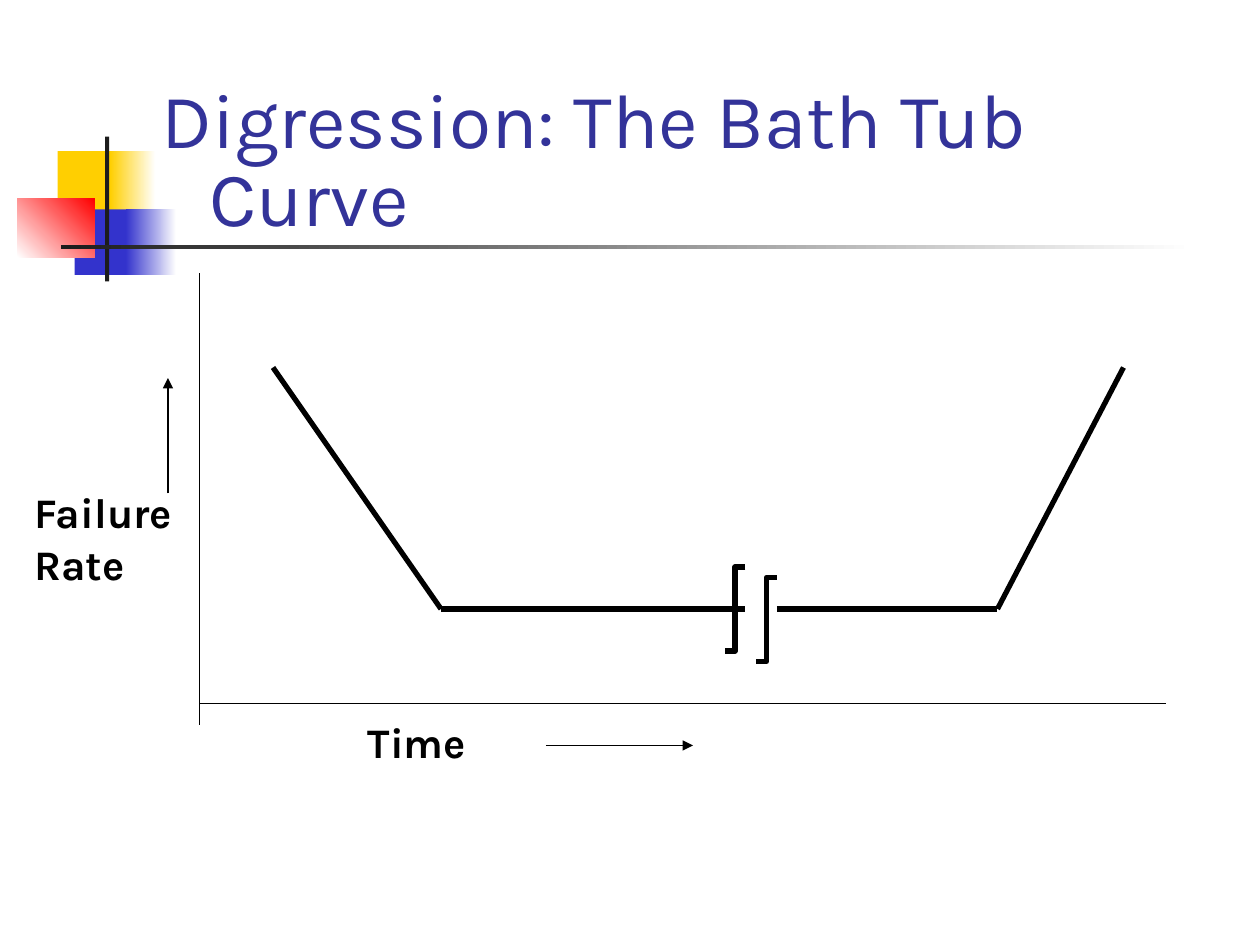
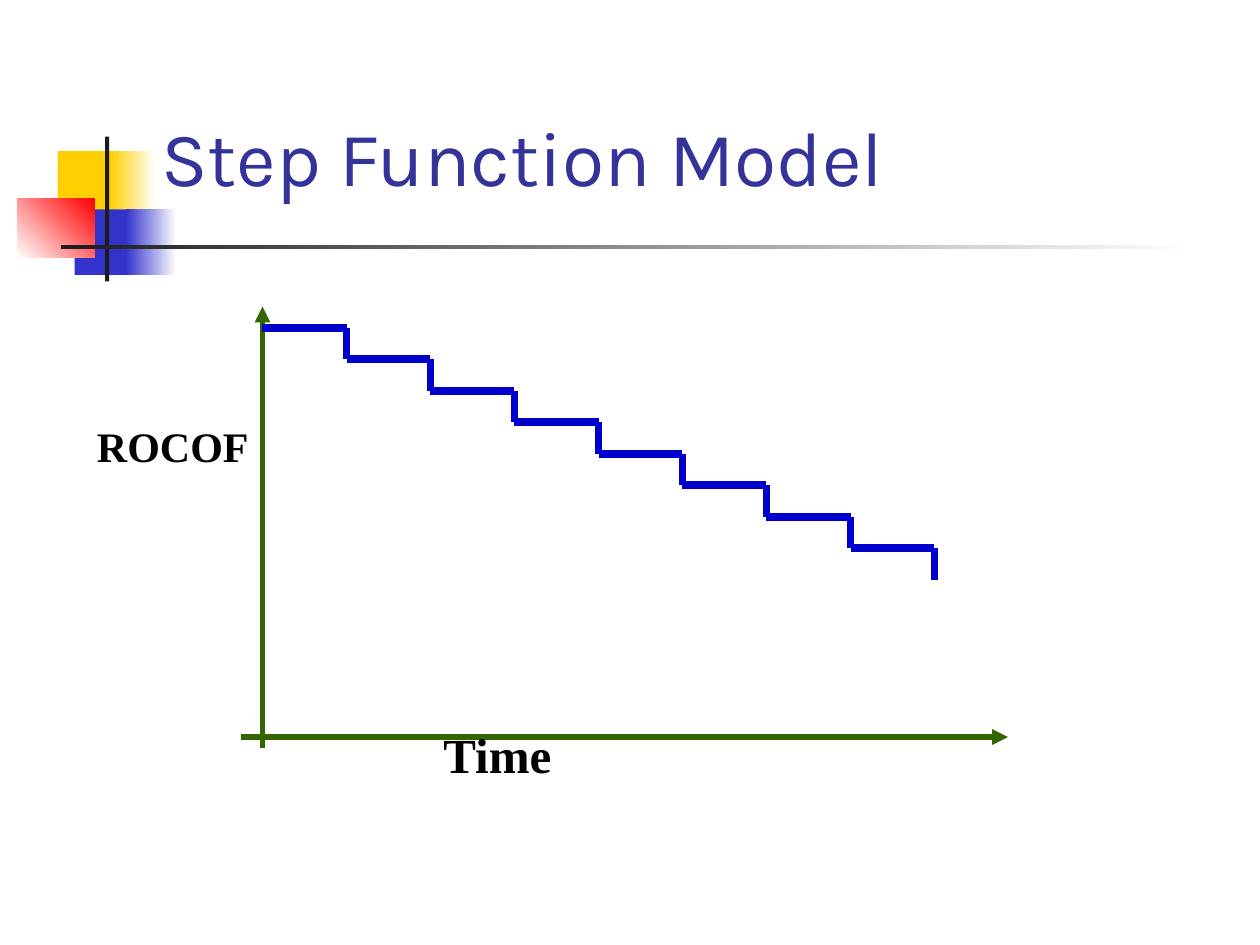
from itertools import pairwise

from lxml.etree import SubElement
from pptx import Presentation
from pptx.dml.color import RGBColor
from pptx.enum.shapes import MSO_CONNECTOR as Conn, MSO_SHAPE as Form
from pptx.enum.text import MSO_ANCHOR as Anchor
from pptx.oxml.ns import qn
from pptx.util import Inches, Pt

WHITE = RGBColor(0xFF, 0xFF, 0xFF)
BLACK = RGBColor(0x00, 0x00, 0x00)
INK = RGBColor(0x1C, 0x1C, 0x1C)
GOLD = RGBColor(0xFF, 0xCF, 0x01)
BLUE = RGBColor(0x33, 0x33, 0xCC)
RED = RGBColor(0xFF, 0x00, 0x00)
NAVY = RGBColor(0x33, 0x33, 0x99)
GREEN = RGBColor(0x33, 0x66, 0x00)
STEP = RGBColor(0x00, 0x00, 0xCC)
SANS, SERIF = "Karla", "Times New Roman"

deck = Presentation()
deck.slide_width, deck.slide_height = Inches(10), Inches(7.5)
CELL = deck.slide_width / 120  # square grid, 120 columns by 90 rows


def link(slide, start, end, color, width, arrow=None, kind=Conn.STRAIGHT):
    """Join two grid points; arrow is None, "headEnd" or "tailEnd"."""
    ends = [round(n * CELL) for n in (*start, *end)]
    line = slide.shapes.add_connector(kind, *ends)
    line.line.color.rgb = color
    line.line.width = Pt(width)
    if arrow:
        SubElement(line.line._get_or_add_ln(), qn("a:" + arrow), type="triangle")
    SubElement(line._element.spPr, qn("a:effectLst"))


def write(slide, box, lines, font, size, color, gap, bold=True):
    """Put one paragraph per line in a box given in grid cells."""
    frame = slide.shapes.add_textbox(*[round(n * CELL) for n in box]).text_frame
    frame.word_wrap = True
    frame.margin_left = frame.margin_right = Inches(0.02)
    frame.margin_top = frame.margin_bottom = Inches(0.05)
    for i, line in enumerate(lines):
        para = frame.add_paragraph() if i else frame.paragraphs[0]
        para.line_spacing = 0.85
        para.space_before = Pt(gap)
        run = para.add_run()
        run.text = line
        run.font.name, run.font.size, run.font.bold = font, Pt(size), bold
        run.font.color.rgb = color
    return frame


# Shared emblem: box in cells, first colour, last colour, gradient angle
EMBLEM = [
    ((5.5, 14.4, 5.7, 6.24), GOLD, None, 0),
    ((10.5, 14.4, 4.3, 6.24), GOLD, WHITE, 0),
    ((7.1, 19.95, 5.5, 6.24), BLUE, None, 0),
    ((12, 19.95, 4.8, 6.24), BLUE, WHITE, 0),
    ((1.65, 18.95, 7.4, 5.55), WHITE, RED, 45),
    ((10, 13, 0.4, 13.8), INK, None, 0),
    ((5.8, 23.35, 107.9, 0.4), INK, WHITE, 0),
]
TITLES = [
    ("Digression: The Bath Tub Curve", 6.36, 18.48),
    ("Step Function Model", 8.04, 15),
]

pages = []
for title, top, height in TITLES:
    page = deck.slides.add_slide(deck.slide_layouts[6])
    pages.append(page)
    for box, first, last, angle in EMBLEM:
        part = page.shapes.add_shape(Form.RECTANGLE, *[round(n * CELL) for n in box])
        part.shadow.inherit = False
        part.line.fill.background()
        if last is None:
            part.fill.solid()
            part.fill.fore_color.rgb = first
        else:
            part.fill.gradient()
            part.fill.gradient_angle = angle
            for stop, color in zip(part.fill.gradient_stops, (first, last)):
                stop.color.rgb = color
    frame = write(page, (15.12, top, 102.24, height), [title], SANS, 44, NAVY, 5.4, False)
    frame.vertical_anchor = Anchor.MIDDLE
    props = frame.paragraphs[0]._p.get_or_add_pPr()
    props.set("marL", str(Inches(0.38)))
    props.set("indent", str(-Inches(0.38)))

tub, steps = pages

# Bath tub curve, broken in the middle of its flat floor
for side in ([(26, 35), (42, 58), (71, 58)], [(74, 58), (95, 58), (107, 35)]):
    for start, end in pairwise(side):
        link(tub, start, end, BLACK, 3)
for x, y in ((71, 54), (74, 55)):
    link(tub, (x, y), (x - 2, y + 8), BLACK, 3, kind=Conn.ELBOW)

# Axes, then the arrows beside their labels
link(tub, (19, 67), (111, 67), BLACK, 0.75)
link(tub, (19, 69), (19, 26), BLACK, 0.75)
link(tub, (52, 71), (66, 71), BLACK, 0.75, "tailEnd")
link(tub, (16, 47), (16, 36), BLACK, 0.75, "tailEnd")
write(tub, (34.8, 68.4, 12.24, 6), ["Time"], SANS, 24, BLACK, 5.6)
write(tub, (3, 46.44, 16.2, 11.64), ["Failure", "Rate"], SANS, 24, BLACK, 5.6)

# Step function: eight equal steps down from the top of the axis
link(steps, (25, 29.2), (25, 71.2), GREEN, 3, "headEnd")
link(steps, (23, 70.2), (96, 70.2), GREEN, 3, "tailEnd")
RUN, DROP = 8, 3
for i in range(8):
    x, y = 25 + i * RUN, 31.2 + i * DROP
    link(steps, (x, y), (x + RUN, y), STEP, 4.5)
    link(steps, (x + RUN, y), (x + RUN, y + DROP), STEP, 4.5)
write(steps, (9, 40.2, 19.92, 6), ["ROCOF"], SERIF, 24, BLACK, 13.8)
write(steps, (42, 69.24, 13.92, 6.84), ["Time"], SERIF, 28, BLACK, 16)

deck.save("out.pptx")
